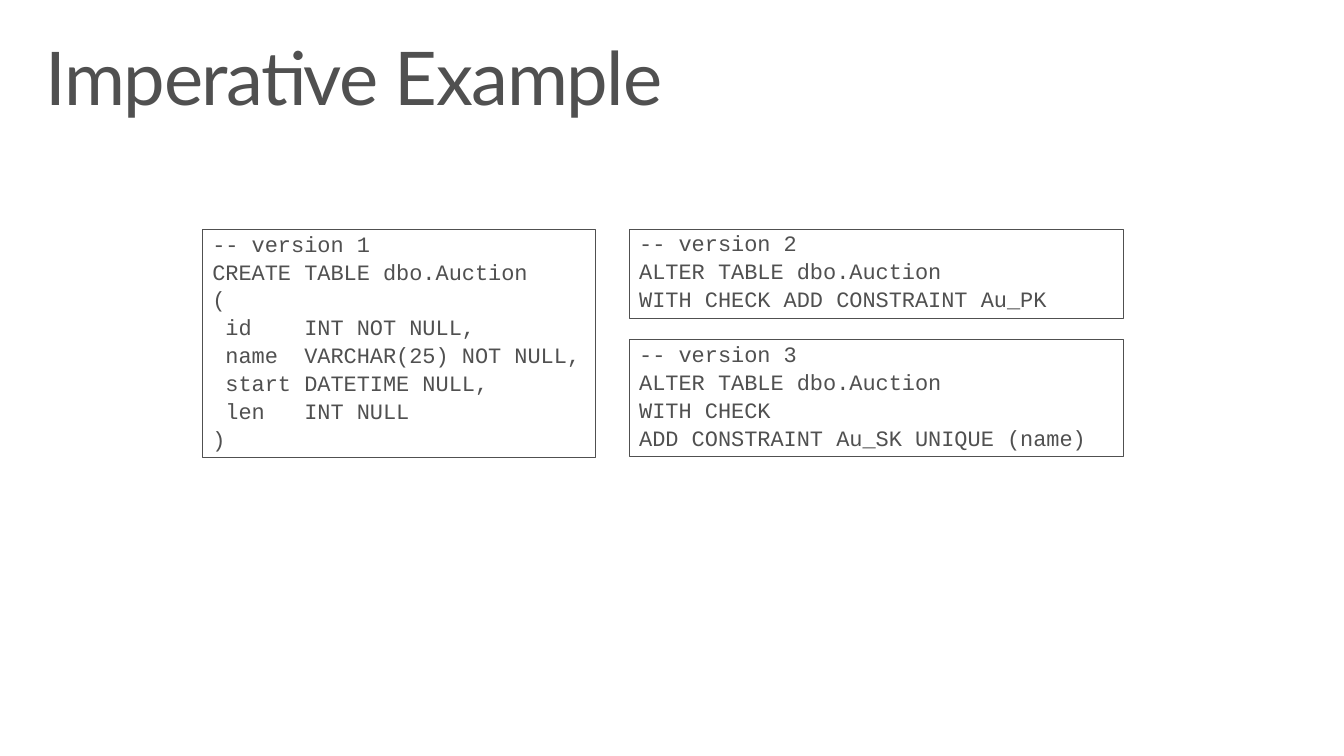
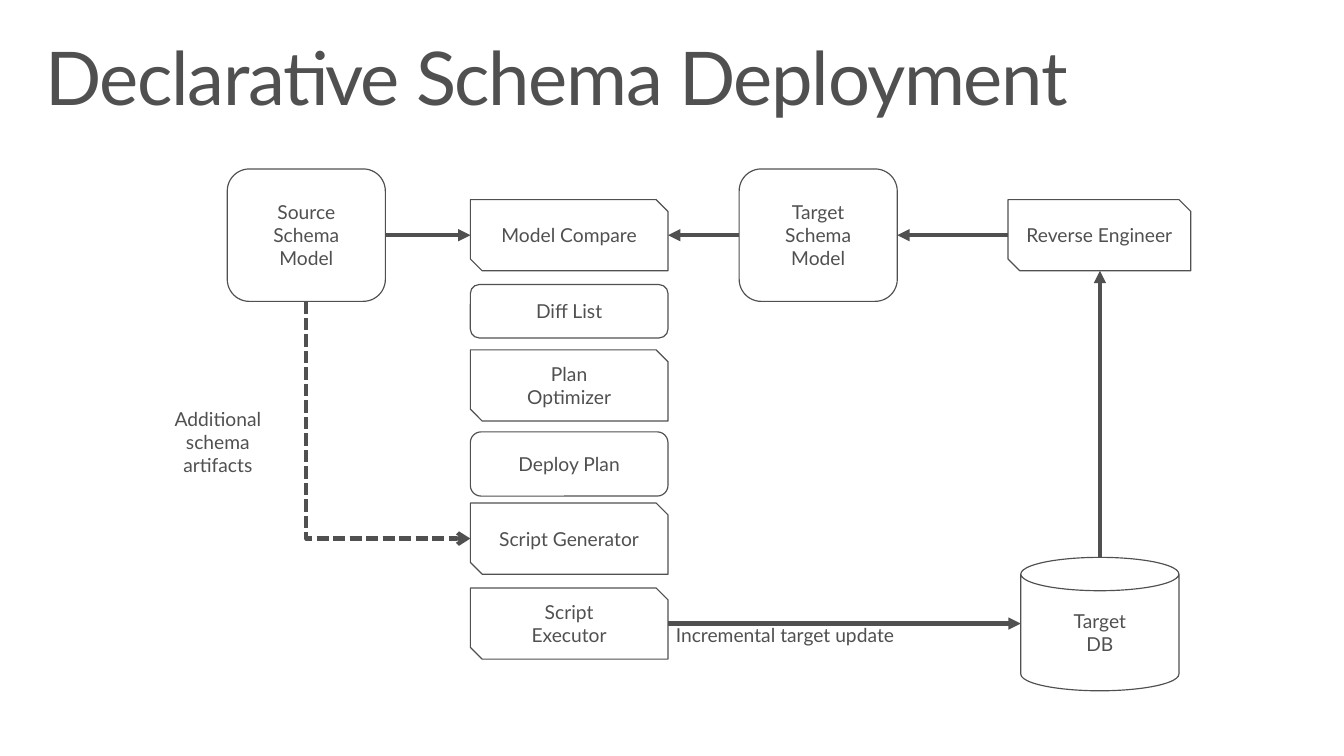
"""Build two slides on imperative and declarative schema deployment."""
import pptx
import pptx.dml.color
import pptx.enum.dml
import pptx.enum.shapes
import pptx.enum.text
import pptx.oxml.ns
import pptx.util
import lxml.etree
from dataclasses import dataclass

Inches = pptx.util.Inches
Pt = pptx.util.Pt
SHAPES = pptx.enum.shapes.MSO_SHAPE
ALIGN = pptx.enum.text.PP_ALIGN
ANCHOR = pptx.enum.text.MSO_ANCHOR


@dataclass(frozen=True)
class Theme:
    ink: pptx.dml.color.RGBColor = pptx.dml.color.RGBColor(0x50, 0x50, 0x50)
    sans: str = "Lato"
    mono: str = "Courier New"
    title_size: int = 54
    code_size: int = 16
    label_size: int = 14
    code_line: float = 0.75
    box_line: float = 0.85
    arrow_line: float = 3


theme = Theme()
TITLE = {"alignment": ALIGN.LEFT, "line_spacing": 0.9}
CODE = {"alignment": ALIGN.LEFT, "line_spacing": 0.85, "space_before": Pt(4.1)}
CENTERED = {"alignment": ALIGN.CENTER}
LEFT = {"alignment": ALIGN.LEFT}


def write(shape, text, font, size, para_format, frame_format):
    """Fill a shape with one paragraph per line of text."""
    frame = shape.text_frame
    frame.text = text
    for name, value in frame_format.items():
        setattr(frame, name, value)
    for para in frame.paragraphs:
        for name, value in para_format.items():
            setattr(para, name, value)
        for span in para.runs:
            span.font.name = font
            span.font.size = Pt(size)
            span.font.color.rgb = theme.ink


def outline(shape, width, head=None):
    """Give a shape or connector its plain line, with an optional arrowhead."""
    shape.line.color.rgb = theme.ink
    shape.line.width = Pt(width)
    if head:
        tail_end = lxml.etree.SubElement(
            shape.line._get_or_add_ln(), pptx.oxml.ns.qn("a:tailEnd"))
        tail_end.set("type", head)


deck = pptx.Presentation()
deck.slide_width = Inches(13.6)
deck.slide_height = Inches(7.65)

pages = []
for heading in ("Imperative Example", "Declarative Schema Deployment"):
    page = deck.slides.add_slide(deck.slide_layouts[5])
    title = page.shapes.title
    place = {"left": 0.3, "top": 0.32, "width": 13, "height": 1}
    for name, value in place.items():
        setattr(title, name, Inches(value))
    write(title, heading, theme.sans, theme.title_size, TITLE, {
        "auto_size": pptx.enum.text.MSO_AUTO_SIZE.NONE,
        "vertical_anchor": ANCHOR.TOP,
        "word_wrap": True,
        "margin_left": Inches(0.16),
        "margin_right": Inches(0.16),
        "margin_top": Inches(0.1),
        "margin_bottom": Inches(0.1),
    })
    title.text_frame.paragraphs[0].runs[0].font._element.set("spc", "-100")
    pages.append(page)
code_page, flow_page = pages

listings = [
    (2.05, 2.32, 3.98, 2.31, """-- version 1
CREATE TABLE dbo.Auction
(
 id    INT NOT NULL,
 name  VARCHAR(25) NOT NULL,
 start DATETIME NULL,
 len   INT NULL
)"""),
    (6.37, 2.32, 5, 0.9, """-- version 2
ALTER TABLE dbo.Auction
WITH CHECK ADD CONSTRAINT Au_PK"""),
    (6.37, 3.44, 5, 1.18, """-- version 3
ALTER TABLE dbo.Auction
WITH CHECK
ADD CONSTRAINT Au_SK UNIQUE (name)"""),
]
for left, top, width, height, text in listings:
    box = code_page.shapes.add_shape(
        SHAPES.RECTANGLE, Inches(left), Inches(top), Inches(width), Inches(height))
    box.shadow.inherit = False
    box.fill.background()
    outline(box, theme.code_line)
    write(box, text, theme.mono, theme.code_size, CODE,
          {"vertical_anchor": ANCHOR.TOP, "word_wrap": True})

step = SHAPES.SNIP_2_DIAG_RECTANGLE
artifact = SHAPES.ROUNDED_RECTANGLE
stack_left, stack_width, step_height = 4.76, 2, 0.72
model_top, model_width, model_height = 1.71, 1.6, 1.34
source_left, target_left, reverse_left, database_left = 2.3, 7.48, 10.2, 10.33
compare_top, generator_top, executor_top, database_top = 2.02, 5.09, 5.95, 5.64

nodes = [
    (artifact, source_left, model_top, model_width, model_height, "Source\nSchema\nModel"),
    (artifact, target_left, model_top, model_width, model_height, "Target\nSchema\nModel"),
    (step, stack_left, compare_top, stack_width, step_height, "Model Compare"),
    (artifact, stack_left, 2.88, stack_width, 0.54, "Diff List"),
    (step, stack_left, 3.54, stack_width, step_height, "Plan\nOptimizer"),
    (artifact, stack_left, 4.37, stack_width, 0.65, "Deploy Plan"),
    (step, stack_left, generator_top, stack_width, step_height, "Script Generator"),
    (step, stack_left, executor_top, stack_width, step_height, "Script\nExecutor"),
    (step, reverse_left, compare_top, 1.85, step_height, "Reverse Engineer"),
    (SHAPES.CAN, database_left, database_top, model_width, 1.35, "Target\nDB"),
]
boxes = {}
for kind, left, top, width, height, text in nodes:
    box = flow_page.shapes.add_shape(
        kind, Inches(left), Inches(top), Inches(width), Inches(height))
    box.shadow.inherit = False
    box.fill.background()
    outline(box, theme.box_line)
    write(box, text, theme.sans, theme.label_size, CENTERED,
          {"vertical_anchor": ANCHOR.MIDDLE, "word_wrap": True})
    boxes[text] = box

source = boxes["Source\nSchema\nModel"]
target = boxes["Target\nSchema\nModel"]
stack_right = stack_left + stack_width
row_middle = compare_top + step_height / 2
executor_middle = executor_top + step_height / 2
database_center = database_left + model_width / 2
arrows = [
    ((source_left + model_width, row_middle), (stack_left, row_middle), (source, 3), None),
    ((target_left, row_middle), (stack_right, row_middle), (target, 1), None),
    ((reverse_left, row_middle), (target_left + model_width, row_middle), None, (target, 3)),
    ((database_center, database_top), (database_center, compare_top + step_height), None, None),
    ((stack_right, executor_middle), (database_left, executor_middle), None, None),
]
for start, end, start_joint, end_joint in arrows:
    arrow = flow_page.shapes.add_connector(
        pptx.enum.shapes.MSO_CONNECTOR.STRAIGHT,
        *(Inches(value) for value in start + end))
    if start_joint:
        arrow.begin_connect(*start_joint)
    if end_joint:
        arrow.end_connect(*end_joint)
    outline(arrow, theme.arrow_line, "triangle")
    lxml.etree.SubElement(arrow._element.spPr, pptx.oxml.ns.qn("a:effectLst"))

source_center = source_left + model_width / 2
generator_middle = generator_top + step_height / 2
route = flow_page.shapes.build_freeform(
    Inches(source_center), Inches(model_top + model_height))
route.add_line_segments(
    [(Inches(source_center), Inches(generator_middle)),
     (Inches(stack_left), Inches(generator_middle))], close=False)
bypass = route.convert_to_shape()
bypass.shadow.inherit = False
bypass.fill.background()
bypass.line.dash_style = pptx.enum.dml.MSO_LINE.SQUARE_DOT
outline(bypass, theme.arrow_line, "arrow")

captions = [
    (1.38, 4.07, 1.65, 1.34, "Additional\nschema\nartifacts", CENTERED),
    (6.74, 6.26, 3.71, 0.56, "Incremental target update", LEFT),
]
for left, top, width, height, text, para_format in captions:
    caption = flow_page.shapes.add_textbox(
        Inches(left), Inches(top), Inches(width), Inches(height))
    write(caption, text, theme.sans, theme.label_size, para_format,
          {"vertical_anchor": ANCHOR.TOP, "word_wrap": True})

deck.save("out.pptx")
